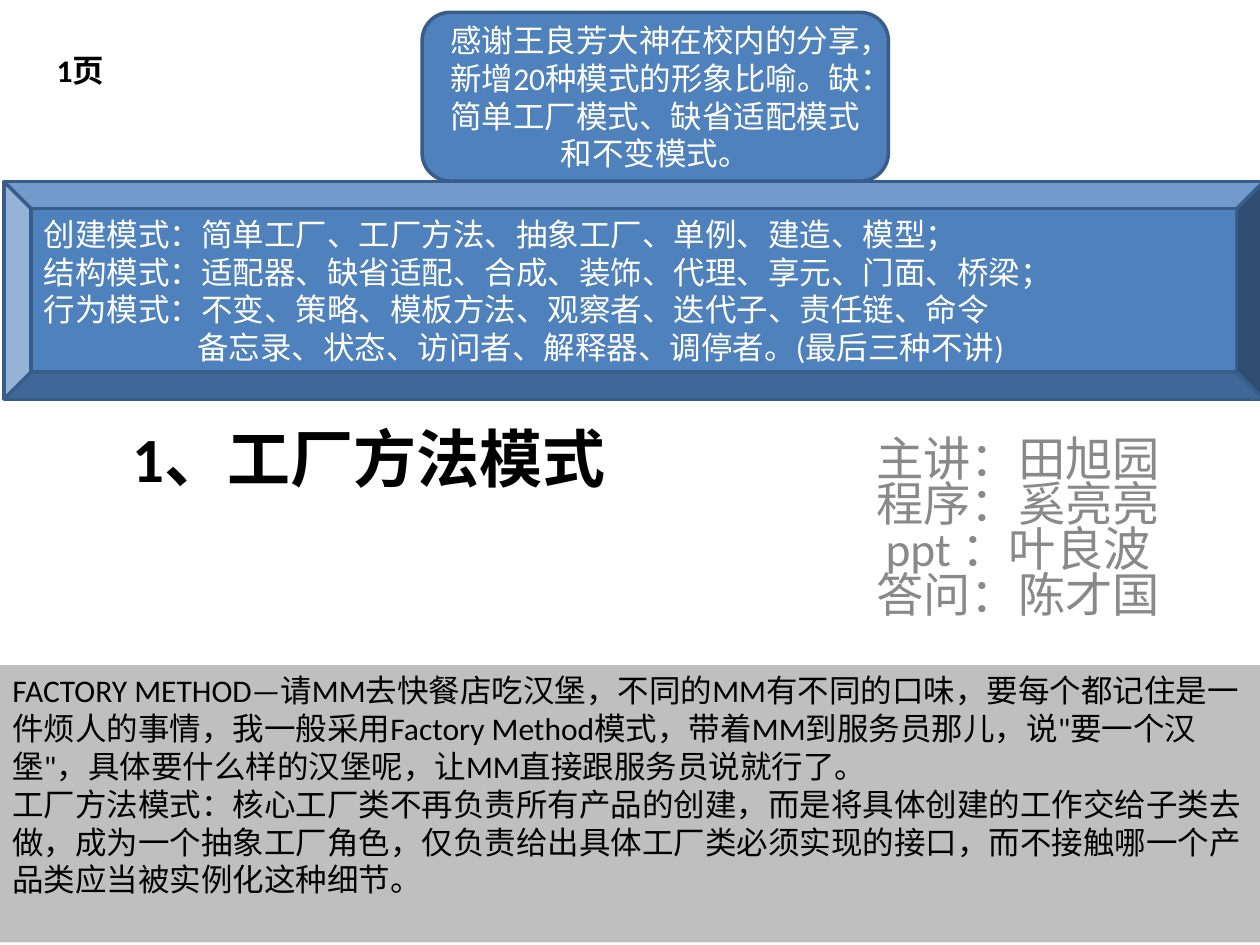
from pptx import Presentation
from pptx.dml.color import RGBColor
from pptx.enum import shapes, text
from pptx.util import Cm, Pt

BLACK = RGBColor(0x00, 0x00, 0x00)
WHITE = RGBColor(0xFF, 0xFF, 0xFF)
GREY_TEXT = RGBColor(0x89, 0x89, 0x89)
GREY_FILL = RGBColor(0xBF, 0xBF, 0xBF)
BLUE = RGBColor(0x4F, 0x81, 0xBD)
BLUE_EDGE = RGBColor(0x38, 0x5D, 0x8A)

LEFT, CENTER = text.PP_ALIGN.LEFT, text.PP_ALIGN.CENTER
TOP, MIDDLE = text.MSO_ANCHOR.TOP, text.MSO_ANCHOR.MIDDLE

THANKS = "感谢王良芳大神在校内的分享，新增20种模式的形象比喻。缺：简单工厂模式、缺省适配模式和不变模式。"
PATTERNS = [
    "创建模式：简单工厂、工厂方法、抽象工厂、单例、建造、模型；",
    "结构模式：适配器、缺省适配、合成、装饰、代理、享元、门面、桥梁；",
    "行为模式：不变、策略、模板方法、观察者、迭代子、责任链、命令",
    "备忘录、状态、访问者、解释器、调停者。(最后三种不讲)",
]
SPEAKERS = "主讲：田旭园\v程序：奚亮亮\vppt ：叶良波\v答问：陈才国"
STORY = (
    "FACTORY METHOD—请MM去快餐店吃汉堡，不同的MM有不同的口味，要每个都记住是一件烦人的事情，"
    "我一般采用Factory Method模式，带着MM到服务员那儿，说\"要一个汉堡\"，"
    "具体要什么样的汉堡呢，让MM直接跟服务员说就行了。\v"
    "工厂方法模式：核心工厂类不再负责所有产品的创建，而是将具体创建的工作交给子类去做，"
    "成为一个抽象工厂角色，仅负责给出具体工厂类必须实现的接口，"
    "而不接触哪一个产品类应当被实例化这种细节。"
)


class PatternSlide:
    """Holds the text style and the slide being filled."""

    font_name = "Calibri"
    body_size = 18

    def __init__(self, deck):
        self.slide = deck.slides.add_slide(deck.slide_layouts[5])

    def set_text(self, shape, lines, color, size=None, bold=False, align=LEFT, anchor=TOP):
        frame = shape.text_frame
        frame.word_wrap = True
        frame.auto_size = text.MSO_AUTO_SIZE.NONE
        frame.vertical_anchor = anchor
        frame.text = "\n".join(lines)
        for para in frame.paragraphs:
            para.alignment = align
            para.font.name = self.font_name
            para.font.size = Pt(size or self.body_size)
            para.font.bold = bold
            para.font.color.rgb = color
        return frame.paragraphs

    def title(self, place, line):
        title = self.slide.shapes.title
        title.left, title.top, title.width, title.height = map(Cm, place)
        self.set_text(title, [line], BLACK, size=36, bold=True, align=CENTER)

    def text_box(self, place, line, color, **style):
        box = self.slide.shapes.add_textbox(*map(Cm, place))
        return self.set_text(box, [line], color, **style)

    def panel(self, kind, place, lines, fill, color, edge=None, **style):
        panel = self.slide.shapes.add_shape(kind, *map(Cm, place))
        panel.shadow.inherit = False
        panel.fill.solid()
        panel.fill.fore_color.rgb = fill
        if edge is None:
            panel.line.fill.background()
        else:
            panel.line.color.rgb = edge
            panel.line.width = Pt(2)
        return self.set_text(panel, lines, color, **style)


def main():
    deck = Presentation()
    deck.slide_width, deck.slide_height = Cm(25.4), Cm(19.05)
    page = PatternSlide(deck)
    kinds = shapes.MSO_SHAPE

    page.title((0.23, 8.33, 14.4, 2.54), "1、工厂方法模式")
    speakers = page.text_box((16.69, 8.74, 7.49, 4.34), SPEAKERS, GREY_TEXT,
                             size=27, align=CENTER)
    speakers[0].line_spacing = 0.8
    speakers[0]._p.get_or_add_pPr().set("marL", str(Cm(0.18)))
    page.text_box((0.89, 0.91, 2.01, 1.02), "1页", BLACK, bold=True)

    page.panel(kinds.RECTANGLE, (0, 13.41, 25.4, 5.59), [STORY], GREY_FILL, BLACK)
    page.panel(kinds.ROUNDED_RECTANGLE, (8.51, 0.25, 9.4, 3.4), [THANKS], BLUE, WHITE,
               edge=BLUE_EDGE, align=CENTER, anchor=MIDDLE)
    patterns = page.panel(kinds.BEVEL, (0.08, 3.66, 25.4, 4.39), PATTERNS, BLUE, WHITE,
                          edge=BLUE_EDGE, anchor=MIDDLE)
    # The last line continues the one above, so it starts under its list
    patterns[-1]._p.get_or_add_pPr().set("marL", str(Cm(3.1)))

    deck.save("out.pptx")


if __name__ == "__main__":
    main()
